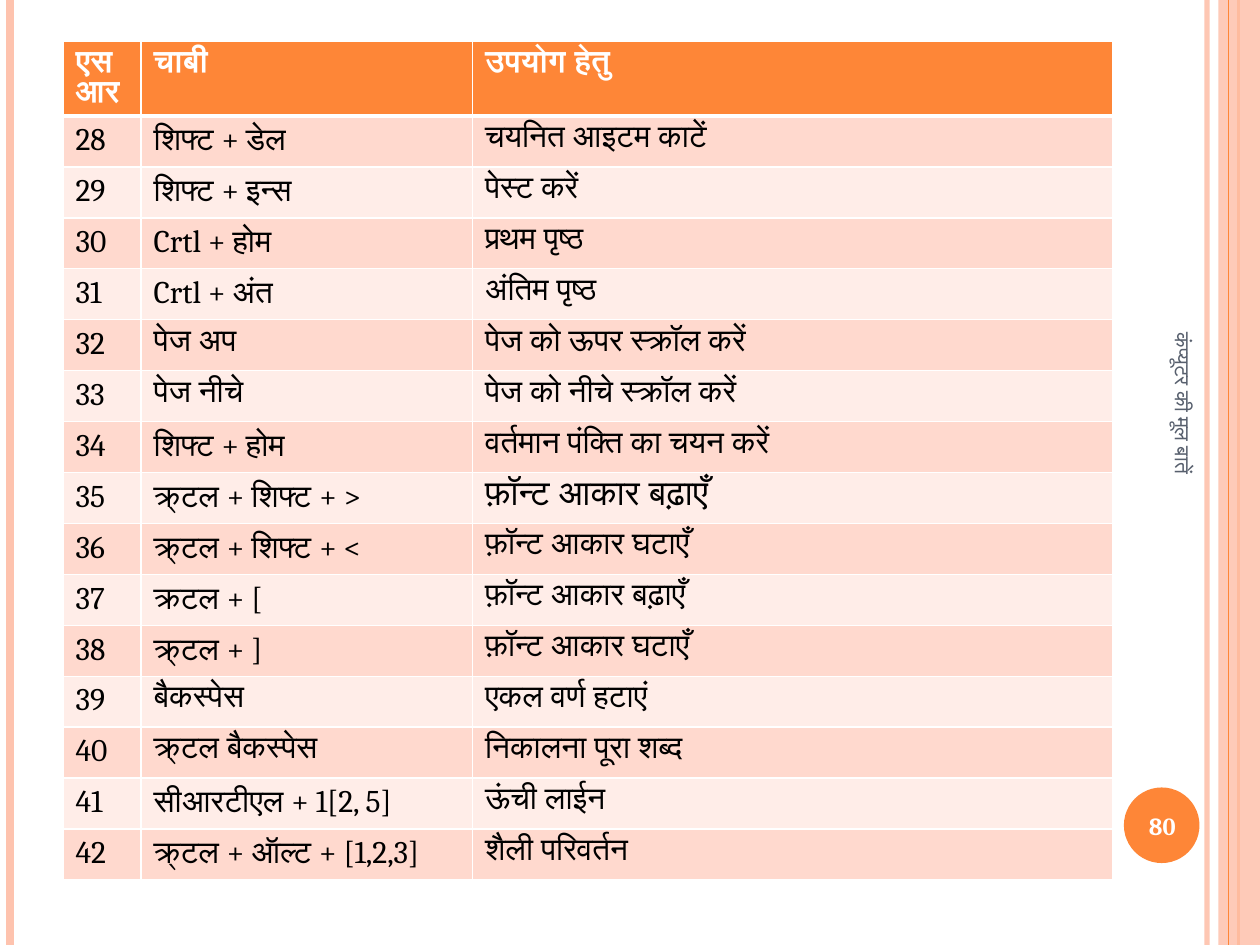
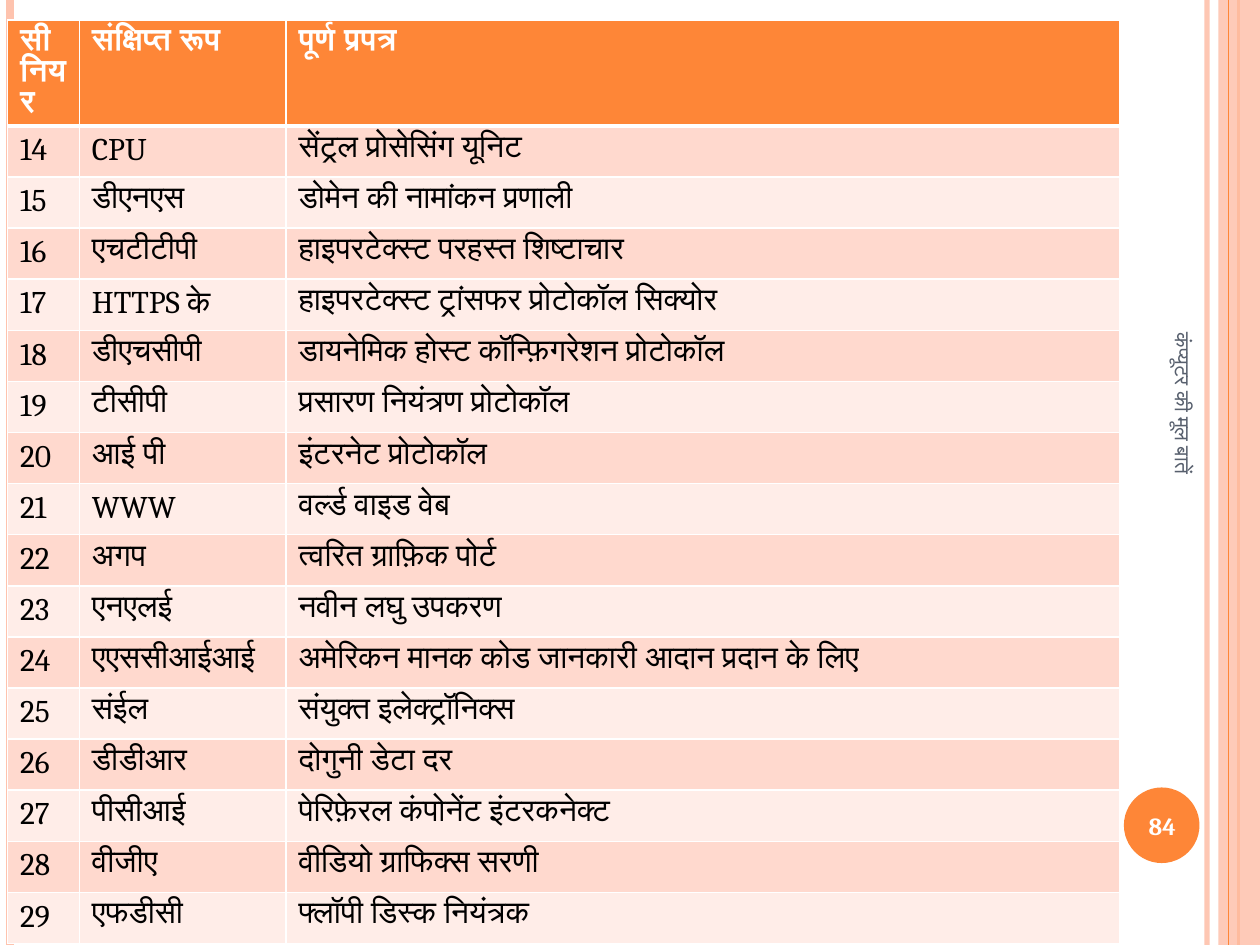
from lxml import etree
from pptx import Presentation
from pptx.dml.color import RGBColor
from pptx.enum.shapes import MSO_CONNECTOR, MSO_SHAPE
from pptx.enum.text import MSO_ANCHOR, PP_ALIGN
from pptx.oxml.ns import qn
from pptx.util import Inches, Pt

STRAIGHT = MSO_CONNECTOR.STRAIGHT
RECTANGLE, OVAL = MSO_SHAPE.RECTANGLE, MSO_SHAPE.OVAL
MIDDLE = MSO_ANCHOR.MIDDLE
LEFT, CENTER = PP_ALIGN.LEFT, PP_ALIGN.CENTER

FONT = "Cambria"
ORANGE, PEACH = "FE8637", "FEC3AE"
WHITE, BLACK, SLATE = "FFFFFF", "000000", "575F6D"
ROW_FILLS = ("FFD9CE", "FFEDE8")
FOOTER = "कंप्यूटर की मूल बातें"
SLIDE_WIDTH, SLIDE_HEIGHT = 10, 7.5
CELL_SIZE, LARGER_SIZE = 18, 20
TIGHT_SPACING = 0.975

# Vertical rules: x, width in points, colour, opacity in percent
RULES = [
    (9.58, 3, PEACH, 93),
    (0.08, 4.5, PEACH, 100),
    (9.83, 1.5, ORANGE, 100),
    (9.75, 0.75, ORANGE, 100),
]

SHORTCUT_HEADER = ("एसआर", "चाबी", "उपयोग हेतु")
SHORTCUTS = [
    ("शिफ्ट + डेल", "चयनित आइटम काटें"),
    ("शिफ्ट + इन्स", "पेस्ट करें"),
    ("Crtl + होम", "प्रथम पृष्ठ"),
    ("Crtl + अंत", "अंतिम पृष्ठ"),
    ("पेज अप", "पेज को ऊपर स्क्रॉल करें"),
    ("पेज नीचे", "पेज को नीचे स्क्रॉल करें"),
    ("शिफ्ट + होम", "वर्तमान पंक्ति का चयन करें"),
    ("क्र्टल + शिफ्ट + >", "फ़ॉन्ट आकार बढ़ाएँ"),
    ("क्र्टल + शिफ्ट + <", "फ़ॉन्ट आकार घटाएँ"),
    ("क्रटल + [", "फ़ॉन्ट आकार बढ़ाएँ"),
    ("क्र्टल + ]", "फ़ॉन्ट आकार घटाएँ"),
    ("बैकस्पेस", "एकल वर्ण हटाएं"),
    ("क्र्टल बैकस्पेस", "निकालना पूरा शब्द"),
    ("सीआरटीएल + 1[2, 5]", "ऊंची लाईन"),
    ("क्र्टल + ऑल्ट + [1,2,3]", "शैली परिवर्तन"),
]
LARGER_SHORTCUT_CELL = (8, 2)

ABBREVIATION_HEADER = ("सीनियर", "संक्षिप्त रूप", "पूर्ण प्रपत्र")
ABBREVIATIONS = [
    ("CPU", "सेंट्रल प्रोसेसिंग यूनिट"),
    ("डीएनएस", "डोमेन की नामांकन प्रणाली"),
    ("एचटीटीपी", "हाइपरटेक्स्ट परहस्त शिष्टाचार"),
    ("HTTPS के", "हाइपरटेक्स्ट ट्रांसफर प्रोटोकॉल सिक्योर"),
    ("डीएचसीपी", "डायनेमिक होस्ट कॉन्फ़िगरेशन प्रोटोकॉल"),
    ("टीसीपी", "प्रसारण नियंत्रण प्रोटोकॉल"),
    ("आई पी", "इंटरनेट प्रोटोकॉल"),
    ("WWW", "वर्ल्ड वाइड वेब"),
    ("अगप", "त्वरित ग्राफ़िक पोर्ट"),
    ("एनएलई", "नवीन लघु उपकरण"),
    ("एएससीआईआई", "अमेरिकन मानक कोड जानकारी आदान प्रदान के लिए"),
    ("संईल", "संयुक्त इलेक्ट्रॉनिक्स"),
    ("डीडीआर", "दोगुनी डेटा दर"),
    ("पीसीआई", "पेरिफ़ेरल कंपोनेंट इंटरकनेक्ट"),
    ("वीजीए", "वीडियो ग्राफिक्स सरणी"),
    ("एफडीसी", "फ्लॉपी डिस्क नियंत्रक"),
]


def rgb(color):
    return RGBColor.from_string(color)


def set_opacity(element, percent):
    color = next(element.iter(qn("a:srgbClr")))
    etree.SubElement(color, qn("a:alpha"), val=str(percent * 1000))


class Deck:
    def __init__(self):
        self.presentation = Presentation()
        self.presentation.slide_width = Inches(SLIDE_WIDTH)
        self.presentation.slide_height = Inches(SLIDE_HEIGHT)
        self.slide = None

    def add_slide(self, number):
        blank_layout = self.presentation.slide_layouts[6]
        self.slide = self.presentation.slides.add_slide(blank_layout)
        # Edge stripes, band and number disc
        for rule in RULES[:3]:
            self.vertical_rule(*rule)
        self.shape(RECTANGLE, 9.67, 0, 0.33, SLIDE_HEIGHT, PEACH, 87)
        self.vertical_rule(*RULES[3])
        self.shape(OVAL, 8.92, 6.25, 0.6, 0.6, ORANGE)
        # Slide number and sideways footer
        self.text(str(number), 8.89, 6.27, 0.67, 0.57, 14, WHITE,
                  bold=True, alignment=CENTER)
        self.text(FOOTER, 7.64, 4.09, 3.5, 0.4, 12, SLATE, rotation=90)

    def vertical_rule(self, x, width, color, opacity):
        rule = self.slide.shapes.add_connector(
            STRAIGHT, Inches(x), 0, Inches(x), Inches(SLIDE_HEIGHT))
        rule.line.color.rgb = rgb(color)
        rule.line.width = Pt(width)
        properties = rule._element.spPr
        if opacity < 100:
            set_opacity(properties, opacity)
        etree.SubElement(properties, qn("a:effectLst"))

    def shape(self, kind, left, top, width, height, color, opacity=100):
        shape = self.slide.shapes.add_shape(
            kind, Inches(left), Inches(top), Inches(width), Inches(height))
        shape.shadow.inherit = False
        shape.fill.solid()
        shape.fill.fore_color.rgb = rgb(color)
        shape.line.fill.background()
        if opacity < 100:
            set_opacity(shape._element.spPr, opacity)

    def text(self, text, left, top, width, height, size, color,
             bold=False, alignment=LEFT, rotation=0):
        box = self.slide.shapes.add_textbox(
            Inches(left), Inches(top), Inches(width), Inches(height))
        box.rotation = rotation
        box.text_frame.word_wrap = True
        box.text_frame.vertical_anchor = MIDDLE
        box.text_frame.text = text
        box.text_frame.paragraphs[0].alignment = alignment
        self.format_runs(box.text_frame, size, color, bold)

    def format_runs(self, text_frame, size, color, bold):
        for run in text_frame.paragraphs[0].runs:
            run.font.name = FONT
            run.font.size = Pt(size)
            run.font.bold = bold
            run.font.color.rgb = rgb(color)

    def table(self, left, top, column_widths, header_height, body_height,
              header, entries, first_number, larger_cell=None):
        rows = [header]
        rows += [(str(number), *entry)
                 for number, entry in enumerate(entries, first_number)]
        frame = self.slide.shapes.add_table(
            len(rows), len(header), Inches(left), Inches(top),
            Inches(sum(column_widths)), Inches(header_height + body_height))
        table = frame.table
        for column, width in zip(table.columns, column_widths):
            column.width = Inches(width)
        for row_index, texts in enumerate(rows):
            height = body_height / len(entries) if row_index else header_height
            table.rows[row_index].height = Inches(height)
            for column_index, text in enumerate(texts):
                is_larger = (row_index, column_index) == larger_cell
                self.cell(table.cell(row_index, column_index), text,
                          row_index, LARGER_SIZE if is_larger else CELL_SIZE)

    def cell(self, cell, text, row_index, size):
        is_header = row_index == 0
        # The line under the header is thicker than the others
        widths = {"L": 1, "R": 1, "T": 3 if row_index == 1 else 1,
                  "B": 3 if is_header else 1}
        properties = cell._tc.get_or_add_tcPr()
        for side, width in widths.items():
            border = etree.SubElement(
                properties, qn("a:ln" + side), w=str(Pt(width)))
            fill = etree.SubElement(border, qn("a:solidFill"))
            etree.SubElement(fill, qn("a:srgbClr"), val=WHITE)
        cell.fill.solid()
        color = ORANGE if is_header else ROW_FILLS[(row_index - 1) % 2]
        cell.fill.fore_color.rgb = rgb(color)
        cell.text_frame.text = text
        # Exact spacing keeps wrapped and larger text within its row
        if is_header or size == LARGER_SIZE:
            paragraph = cell.text_frame.paragraphs[0]
            paragraph.line_spacing = Pt(size * TIGHT_SPACING)
        self.format_runs(cell.text_frame, size,
                         WHITE if is_header else BLACK, is_header)


def main():
    deck = Deck()

    # Keyboard shortcuts
    deck.add_slide(80)
    deck.table(0.5, 0.33, (0.62, 2.63, 5.08), 0.59, 6.07,
               SHORTCUT_HEADER, SHORTCUTS, 28, LARGER_SHORTCUT_CELL)

    # Abbreviations
    deck.add_slide(84)
    deck.table(0.06, 0.16, (0.57, 1.64, 6.62), 0.84, 6.49,
               ABBREVIATION_HEADER, ABBREVIATIONS, 14)

    deck.presentation.save("out.pptx")


if __name__ == "__main__":
    main()
